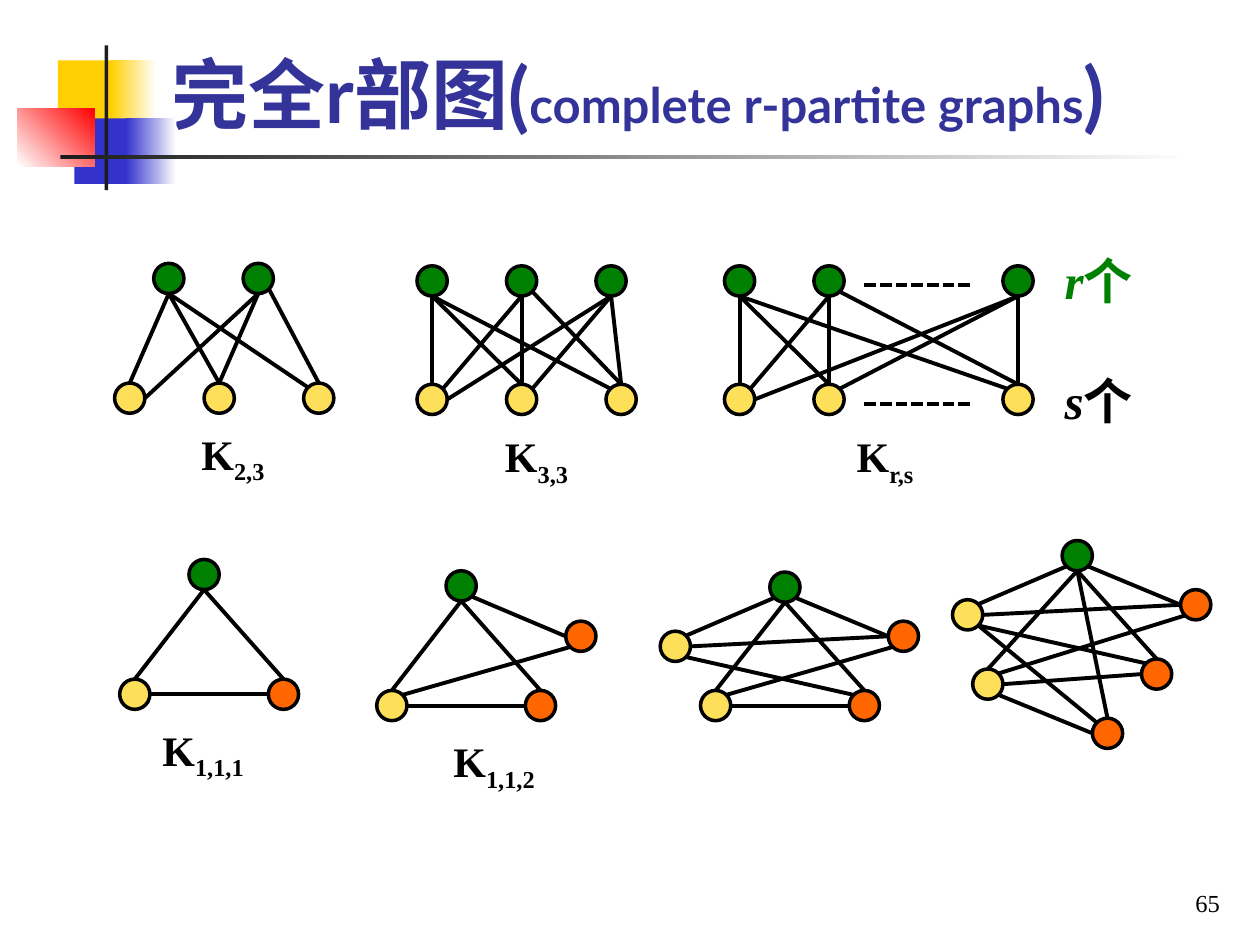
from math import cos, radians, sin

from lxml.etree import SubElement
from pptx import Presentation
from pptx.dml.color import RGBColor
from pptx.enum.dml import MSO_LINE
from pptx.enum.shapes import MSO_CONNECTOR, MSO_SHAPE
from pptx.enum.text import MSO_ANCHOR, MSO_AUTO_SIZE, PP_ALIGN
from pptx.oxml import parse_xml
from pptx.oxml.ns import nsdecls, qn
from pptx.util import Inches, Pt

BLACK = RGBColor(0x00, 0x00, 0x00)
WHITE = RGBColor(0xFF, 0xFF, 0xFF)
CHARCOAL = RGBColor(0x1C, 0x1C, 0x1C)
GOLD = RGBColor(0xFF, 0xCF, 0x01)
BLUE = RGBColor(0x33, 0x33, 0xCC)
RED = RGBColor(0xFF, 0x00, 0x00)
NAVY = RGBColor(0x33, 0x33, 0x99)
GREEN = RGBColor(0x00, 0x80, 0x00)
YELLOW = RGBColor(0xFE, 0xDF, 0x59)
ORANGE = RGBColor(0xFF, 0x66, 0x00)

SERIF = "Times New Roman"
RADIUS = 0.12
# Direction of each attachment point on a vertex, in degrees clockwise from the right
SITES = {"r": 0, "br": 45, "b": 90, "bl": 135, "l": 180, "tl": 225, "t": 270, "tr": 315}
NODE_COLORS = {"G": GREEN, "Y": YELLOW, "O": ORANGE}

deck = Presentation()
deck.slide_width, deck.slide_height = Inches(10), Inches(7.5)
page = deck.slides.add_slide(deck.slide_layouts[5])


def add_line(start, end):
    line = page.shapes.add_connector(
        MSO_CONNECTOR.STRAIGHT, *[Inches(value) for value in (*start, *end)]
    )
    line.line.color.rgb = BLACK
    line.line.width = Pt(2.25)
    SubElement(line.element.spPr, qn("a:effectLst"))
    return line


def add_text(place, runs, size, color=BLACK, bold=True, wrap=False):
    """Add a one-paragraph box and return its frame; runs are (text, italic, baseline)."""
    box = page.shapes.add_textbox(*[Inches(value) for value in place])
    frame = box.text_frame
    frame.word_wrap = wrap
    para = frame.paragraphs[0]
    para.font.name, para.font.size, para.font.bold = SERIF, Pt(size), bold
    para.font.color.rgb = color
    for text, italic, baseline in runs:
        span = para.add_run()
        span.text = text
        if italic:
            span.font.italic = True
        if baseline:
            span.font._element.set("baseline", str(baseline))
    return frame


# Decoration: place, first colour, second colour (None for a solid fill), angle
decoration = [
    ((0.46, 0.48, 0.48, 0.52), GOLD, None, 0),
    ((0.88, 0.48, 0.36, 0.52), GOLD, WHITE, 0),
    ((0.59, 0.94, 0.46, 0.52), BLUE, None, 0),
    ((1, 0.94, 0.4, 0.52), BLUE, WHITE, 0),
    ((0.14, 0.86, 0.61, 0.46), WHITE, RED, 45),
    ((0.83, 0.36, 0.03, 1.15), CHARCOAL, None, 0),
    ((0.48, 1.23, 9, 0.03), CHARCOAL, WHITE, 0),
]
for place, first, second, angle in decoration:
    block = page.shapes.add_shape(MSO_SHAPE.RECTANGLE, *[Inches(value) for value in place])
    block.shadow.inherit = False
    block.line.fill.background()
    if second is None:
        block.fill.solid()
        block.fill.fore_color.rgb = first
    else:
        block.fill.gradient()
        block.fill.gradient_angle = angle
        for stop, color in zip(block.fill.gradient_stops, (first, second)):
            stop.color.rgb = color

# Title
title = page.shapes.title
title.left, title.top = Inches(1.26), Inches(0.08)
title.width, title.height = Inches(8.52), Inches(1.07)
frame = title.text_frame
frame.word_wrap = True
frame.auto_size = MSO_AUTO_SIZE.NONE
frame.vertical_anchor = MSO_ANCHOR.BOTTOM
para = frame.paragraphs[0]
para.alignment = PP_ALIGN.LEFT
for text, size in [("完全r部图(", 44), ("complete r-partite graphs", 28), (")", 44)]:
    span = para.add_run()
    span.text = text
    span.font.name, span.font.size, span.font.bold = "Lato", Pt(size), True
    span.font.color.rgb = NAVY
    span.font._element.find(qn("a:solidFill")).addnext(parse_xml(
        f'<a:effectLst {nsdecls("a")}><a:outerShdw dist="25400" dir="2700000">'
        '<a:srgbClr val="000000"/></a:outerShdw></a:effectLst>'
    ))

# Each edge joins a vertex and its attachment point to another such pair
two_rows = ["G1.b Y1.t", "G1.b Y2.t", "G1.b Y3.tl", "G2.b Y2.t", "G2.br Y3.t"]
k23 = two_rows + ["G2.b Y1.r"]
k33 = two_rows + ["G2.b Y1.tr", "G3.b Y1.r", "G3.b Y2.tr", "G3.b Y3.t"]
k111 = ["G1.b O1.t", "Y1.r O1.l", "Y1.t G1.b"]
k112 = k111 + ["G1.br O2.l", "Y1.tr O2.bl"]
k122 = k112 + ["Y2.r O2.l", "Y2.br O1.tl", "Y2.tr G1.bl"]
k123 = k122 + ["Y1.br O3.l", "Y2.br O3.tl", "G1.b O3.t"]

# Vertex centres and edges of each graph
graphs = [
    ({"G1": (1.34, 2.21), "G2": (2.05, 2.21),
      "Y1": (1.03, 3.16), "Y2": (1.74, 3.16), "Y3": (2.53, 3.16)}, k23),
    ({"G1": (3.43, 2.23), "G2": (4.14, 2.23), "G3": (4.85, 2.23),
      "Y1": (3.43, 3.17), "Y2": (4.14, 3.17), "Y3": (4.93, 3.17)}, k33),
    ({"G1": (5.87, 2.23), "G2": (6.58, 2.23), "G3": (8.08, 2.23),
      "Y1": (5.87, 3.17), "Y2": (6.58, 3.17), "Y3": (8.08, 3.17)}, k33),
    ({"G1": (1.62, 4.56), "Y1": (1.07, 5.51), "O1": (2.25, 5.51)}, k111),
    ({"G1": (3.66, 4.65), "Y1": (3.11, 5.6),
      "O1": (4.29, 5.6), "O2": (4.61, 5.05)}, k112),
    ({"G1": (6.23, 4.66), "Y1": (5.68, 5.6), "Y2": (5.36, 5.13),
      "O1": (6.86, 5.6), "O2": (7.17, 5.05)}, k122),
    ({"G1": (8.55, 4.41), "Y1": (7.84, 5.43), "Y2": (7.68, 4.88),
      "O1": (9.18, 5.35), "O2": (9.49, 4.8), "O3": (8.79, 5.82)}, k123),
]
for nodes, edges in graphs:
    for name, (x, y) in nodes.items():
        node = page.shapes.add_shape(
            MSO_SHAPE.OVAL, Inches(x - RADIUS), Inches(y - RADIUS),
            Inches(2 * RADIUS), Inches(2 * RADIUS),
        )
        node.shadow.inherit = False
        node.fill.solid()
        node.fill.fore_color.rgb = NODE_COLORS[name[0]]
        node.line.color.rgb = BLACK
        node.line.width = Pt(2)
    for edge in edges:
        ends = []
        for end in edge.split():
            name, site = end.split(".")
            x, y = nodes[name]
            turn = radians(SITES[site])
            ends.append((x + RADIUS * cos(turn), y + RADIUS * sin(turn)))
        add_line(*ends)

# Dashes standing for the omitted vertices of K r,s
for y in (2.26, 3.21):
    add_line((6.86, y), (7.72, y)).line.dash_style = MSO_LINE.SQUARE_DOT

# Graph names
for subscript, x, y, width in [
    ("2,3", 1.5, 3.35, 0.74), ("3,3", 3.91, 3.37, 0.74), ("r,s", 6.7, 3.37, 0.71),
    ("1,1,1", 1.19, 5.7, 0.91), ("1,1,2", 3.5, 5.79, 0.91),
]:
    add_text((x, y, width, 0.5), [("K", False, 0), (subscript, False, -25000)], 24)

# Row sizes of K r,s
for letter, y, color in [("r", 1.94, GREEN), ("s", 2.89, BLACK)]:
    add_text((8.35, y, 0.78, 0.57), [(letter, True, 0), ("个", False, 0)], 28, color, wrap=True)

# Page number
number = add_text((7.7, 6.83, 2.08, 0.5), [("65", False, 0)], 14, bold=False, wrap=True)
number.vertical_anchor = MSO_ANCHOR.BOTTOM
number.paragraphs[0].alignment = PP_ALIGN.RIGHT

deck.save("out.pptx")
